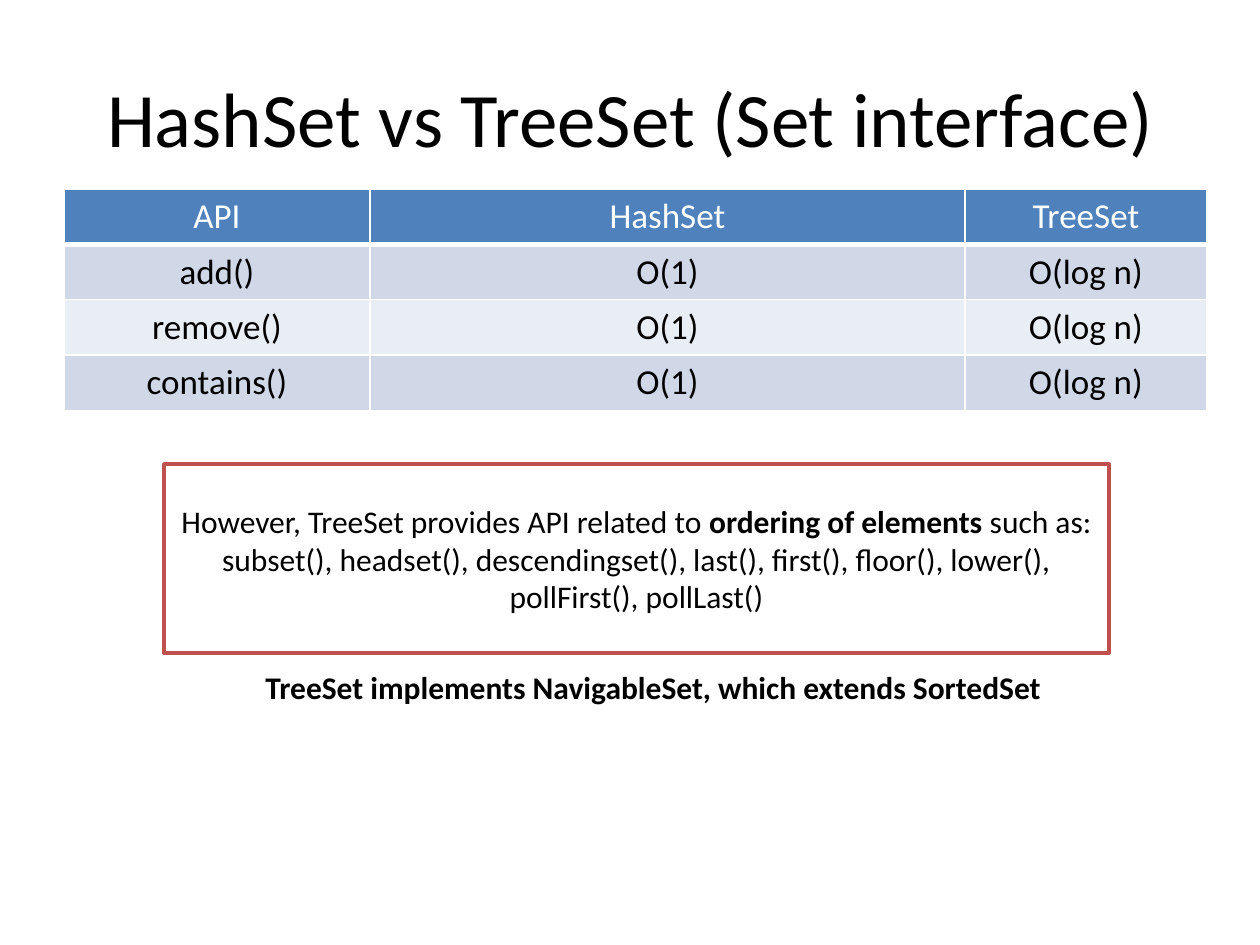
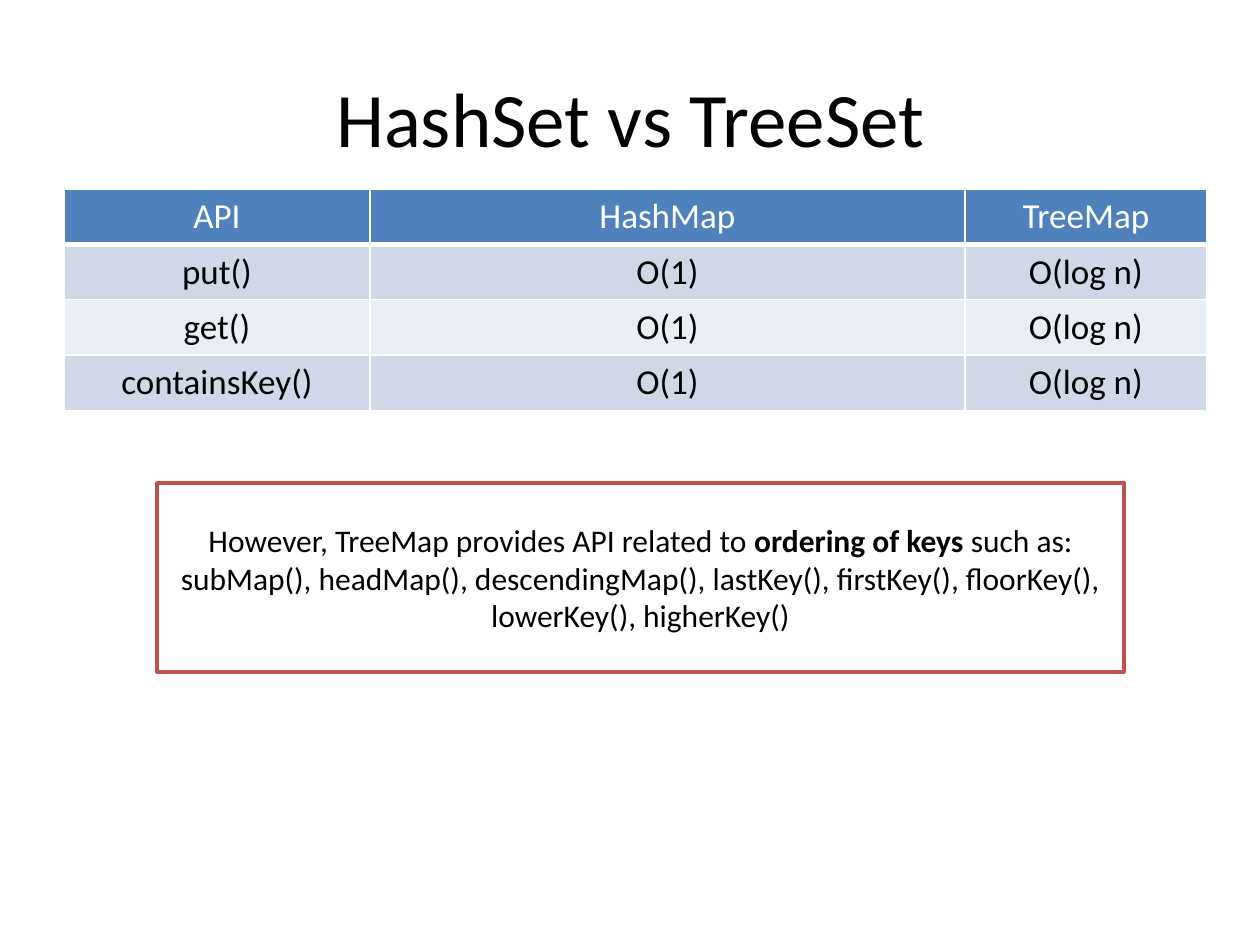
from lxml.etree import SubElement
from pptx import Presentation
from pptx.dml.color import RGBColor
from pptx.enum.shapes import MSO_SHAPE
from pptx.enum.text import MSO_ANCHOR, MSO_AUTO_SIZE, PP_ALIGN
from pptx.oxml.ns import qn
from pptx.util import Emu, Pt

COLORS = {
    "text": "000000",
    "white": "FFFFFF",
    "header": "4F81BD",
    "odd_row": "D0D8E8",
    "even_row": "E9EDF4",
    "note_line": "C0504D",
}
FONT = "Calibri"
TITLE_BOX = (53, 38, 1155, 157)
TABLE_ORIGIN = (64, 189)
COLUMN_WIDTHS = (306, 595, 242)
ROW_HEIGHT = 55.4

SLIDES = [
    {
        "title": "HashSet vs TreeSet (Set interface)",
        "header": ("API", "HashSet", "TreeSet"),
        "methods": ("add()", "remove()", "contains()"),
        "note_box": (164, 464, 945, 189),
        "note": ("However, TreeSet provides API related to ",
                 "ordering of elements", " such as:"),
        "examples": "subset(), headset(), descendingset(), last(), first(), "
                    "floor(), lower(), pollFirst(), pollLast()",
        "remark": "TreeSet implements NavigableSet, which extends SortedSet",
        "remark_box": (253, 662, 806, 50),
    },
    {
        "title": "HashSet vs TreeSet",
        "header": ("API", "HashMap", "TreeMap"),
        "methods": ("put()", "get()", "containsKey()"),
        "note_box": (157, 483, 967, 189),
        "note": ("However, TreeMap provides API related to ",
                 "ordering of keys", " such as:"),
        "examples": "subMap(), headMap(), descendingMap(), lastKey(), "
                    "firstKey(), floorKey(), lowerKey(), higherKey()",
    },
]
COSTS = ("O(1)", "O(log n)")


def pixels(value):
    """Turn pixels into EMU."""
    return Emu(round(value * 914400 / 126))


def place(box):
    """Turn a box in pixels into EMU lengths."""
    return [pixels(value) for value in box]


def rgb(name):
    """Look up a named colour."""
    return RGBColor.from_string(COLORS[name])


def format_text(text_frame, size, color="text", align=PP_ALIGN.CENTER):
    """Give every run of a text frame the shared font."""
    for paragraph in text_frame.paragraphs:
        paragraph.alignment = align
        for run in paragraph.runs:
            run.font.name = FONT
            run.font.size = Pt(size)
            run.font.color.rgb = rgb(color)


def add_title(slide, title):
    """Add the centred slide title."""
    text_frame = slide.shapes.add_textbox(*place(TITLE_BOX)).text_frame
    text_frame.word_wrap = True
    text_frame.vertical_anchor = MSO_ANCHOR.MIDDLE
    text_frame.text = title
    format_text(text_frame, 44)


def set_borders(cell, bottom_width):
    """Draw white borders round a cell."""
    properties = cell._tc.get_or_add_tcPr()
    for side, width in (("L", 1), ("R", 1), ("T", 1), ("B", bottom_width)):
        line = SubElement(properties, qn(f"a:ln{side}"), w=str(Pt(width)))
        fill = SubElement(line, qn("a:solidFill"))
        SubElement(fill, qn("a:srgbClr"), val=COLORS["white"])


def add_cost_table(slide, header, methods):
    """Add the table of methods and their costs."""
    rows = [header] + [(method, *COSTS) for method in methods]
    box = (*TABLE_ORIGIN, sum(COLUMN_WIDTHS), ROW_HEIGHT * len(rows))
    table = slide.shapes.add_table(len(rows), len(header), *place(box)).table
    for column, width in zip(table.columns, COLUMN_WIDTHS):
        column.width = pixels(width)
    for row_index, row in enumerate(rows):
        is_header = row_index == 0
        band = "header" if is_header else ("even_row", "odd_row")[row_index % 2]
        for column_index, text in enumerate(row):
            cell = table.cell(row_index, column_index)
            cell.text = text
            format_text(cell.text_frame, 20, "white" if is_header else "text")
            cell.text_frame.paragraphs[0].runs[0].font.bold = False
            set_borders(cell, 3 if is_header else 1)
            cell.fill.solid()
            cell.fill.fore_color.rgb = rgb(band)


def add_note(slide, box, note, examples):
    """Add the outlined note with its middle phrase in bold."""
    shape = slide.shapes.add_shape(MSO_SHAPE.RECTANGLE, *place(box))
    shape.shadow.inherit = False
    shape.fill.solid()
    shape.fill.fore_color.rgb = rgb("white")
    shape.line.color.rgb = rgb("note_line")
    shape.line.width = Pt(2)
    text_frame = shape.text_frame
    text_frame.word_wrap = True
    text_frame.vertical_anchor = MSO_ANCHOR.MIDDLE
    for index, text in enumerate(note):
        run = text_frame.paragraphs[0].add_run()
        run.text = text
        run.font.bold = index == 1
    text_frame.add_paragraph().text = examples
    format_text(text_frame, 18)


def add_remark(slide, box, remark):
    """Add the bold line below the note."""
    text_frame = slide.shapes.add_textbox(*place(box)).text_frame
    text_frame.word_wrap = False
    text_frame.auto_size = MSO_AUTO_SIZE.SHAPE_TO_FIT_TEXT
    text_frame.text = remark
    format_text(text_frame, 18, align=PP_ALIGN.LEFT)
    text_frame.paragraphs[0].runs[0].font.bold = True


presentation = Presentation()
presentation.slide_width = pixels(1260)
presentation.slide_height = pixels(945)
for content in SLIDES:
    slide = presentation.slides.add_slide(presentation.slide_layouts[6])
    add_title(slide, content["title"])
    add_cost_table(slide, content["header"], content["methods"])
    add_note(slide, content["note_box"], content["note"], content["examples"])
    if "remark" in content:
        add_remark(slide, content["remark_box"], content["remark"])
presentation.save("out.pptx")
